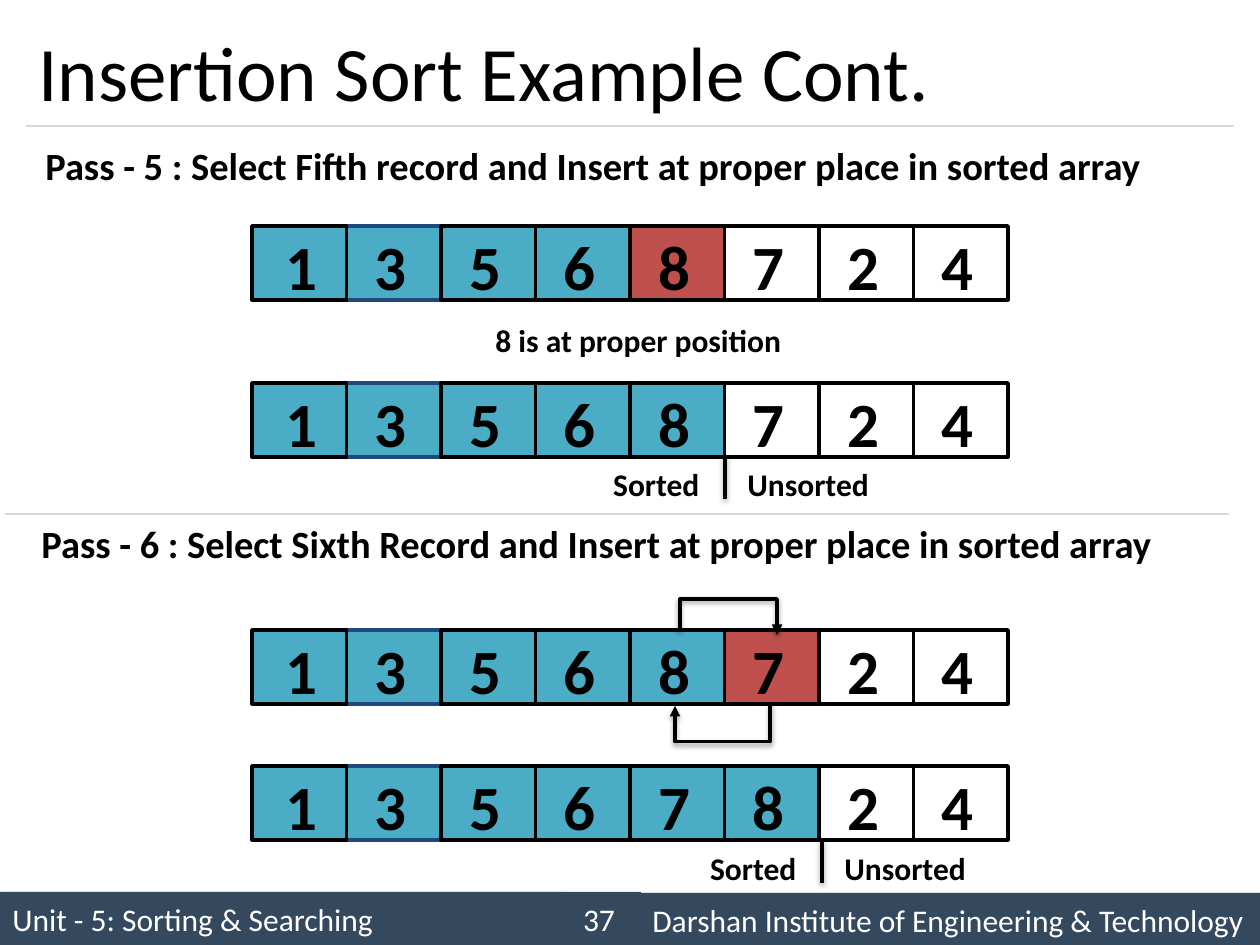
from lxml.etree import SubElement
from pptx import Presentation
from pptx.dml.color import RGBColor
from pptx.enum.shapes import MSO_CONNECTOR, MSO_SHAPE
from pptx.enum.text import MSO_ANCHOR, MSO_AUTO_SIZE, PP_ALIGN
from pptx.oxml.ns import qn
from pptx.util import Pt

# Content
TITLE = "Insertion Sort Example Cont."
HEADINGS = [  # left, top, width, text
    (33, 136, 1144, "Pass - 5 : Select Fifth record and Insert at proper place in sorted array"),
    (29, 514, 1157, "Pass - 6 : Select Sixth Record and Insert at proper place in sorted array"),
]
NOTE = (483, 315, 314, "8 is at proper position")
ARRAYS = [  # top, values, number of sorted cells, index of the selected cell
    (226, "13568724", 4, 4),
    (383, "13568724", 5, None),
    (630, "13568724", 5, 5),
    (766, "13567824", 6, None),
]
BOUNDARIES = [(725, 456), (822, 840)]  # line between sorted and unsorted: x, top
SWAPS = [  # start, end, y of the crossbar
    ((680, 630), (777, 635), 599),
    ((770, 703), (675, 706), 742),
]
RULES = [(26, 1234, 126), (5, 1229, 514)]  # left, right, y
FOOTER = [  # left, top, width, text, alignment, has shadow
    (0, 892, 557, "Unit - 5: Sorting & Searching", PP_ALIGN.LEFT, True),
    (640, 893, 620, "Darshan Institute of Engineering & Technology", PP_ALIGN.LEFT, True),
    (557, 892, 84, "37", PP_ALIGN.CENTER, False),
]

THEME = {
    "font": "Calibri",
    "title": 44, "digit": 36, "heading": 22, "label": 18,
    "ink": "000000", "paper": "FFFFFF", "rule": "D9D9D9", "bar": "34495E",
    "sorted": "4BACC6", "selected": "C0504D", "edge": "1F497D",
    "line": 2, "hairline": 0.75,
}
BAR_SHADOW = (40, 4, 3, 45)  # opacity %, blur pt, distance pt, angle
LINE_SHADOW = (38, 3.1, 1.6, 90)
ROW_LEFT, ROW_WIDTH, CELL_HEIGHT = 252, 756, 74


def px(length):
    return round(length * 914400 / 126)


def color(name):
    return RGBColor.from_string(THEME[name])


def set_effects(shape, shadow=None):
    effects = SubElement(shape.element.spPr, qn("a:effectLst"))
    if shadow:
        opacity, blur, distance, angle = shadow
        outer = SubElement(effects, qn("a:outerShdw"), blurRad=str(Pt(blur)),
                           dist=str(Pt(distance)), dir=str(angle * 60000),
                           algn="tl", rotWithShape="0")
        black = SubElement(outer, qn("a:srgbClr"), val=THEME["ink"])
        SubElement(black, qn("a:alpha"), val=str(opacity * 1000))


def write(shape, text, size, ink="ink", bold=False, align=PP_ALIGN.LEFT):
    para = shape.text_frame.paragraphs[0]
    para.text = text
    para.alignment = align
    font = para.font
    font.name, font.size, font.bold = THEME["font"], Pt(THEME[size]), bold
    font.color.rgb = color(ink)


def add_text(left, top, width, height, text, size, align=PP_ALIGN.LEFT):
    box = page.shapes.add_textbox(px(left), px(top), px(width), px(height))
    box.text_frame.word_wrap = False
    box.text_frame.auto_size = MSO_AUTO_SIZE.SHAPE_TO_FIT_TEXT
    write(box, text, size, bold=True, align=align)


def add_rect(left, top, width, height, fill, edge=None, shadow=None):
    rect = page.shapes.add_shape(MSO_SHAPE.RECTANGLE, px(left), px(top), px(width), px(height))
    rect.fill.solid()
    rect.fill.fore_color.rgb = color(fill)
    if edge:
        rect.line.color.rgb = color(edge)
        rect.line.width = Pt(THEME["line"])
    else:
        rect.line.fill.background()
    set_effects(rect, shadow)
    return rect


def add_line(start, end, ink, width, shadow=None, kind=MSO_CONNECTOR.STRAIGHT):
    line = page.shapes.add_connector(kind, *map(px, start + end))
    line.line.color.rgb = color(ink)
    line.line.width = Pt(THEME[width])
    set_effects(line, shadow)
    return line


def add_swap(start, end, bar_y):
    """Elbow arrow turned a quarter, so that it leaves and arrives vertically."""
    (x1, y1), (x2, y2) = start, end
    rightward = x2 > x1
    center_x, center_y = (x1 + x2) / 2, (y1 + y2) / 2
    half_width, half_height = (y2 - y1) / 2, abs(x2 - x1) / 2
    side = 1 if rightward else -1
    arrow = add_line((center_x + side * half_width, center_y - half_height),
                     (center_x - side * half_width, center_y + half_height),
                     "ink", "line", LINE_SHADOW, MSO_CONNECTOR.ELBOW)
    properties = arrow.element.spPr
    properties.find(qn("a:xfrm")).set("rot", str((270 if rightward else 90) * 60000))
    guides = properties.find(qn("a:prstGeom")).get_or_add_avLst()
    bend = round((bar_y - y1) / (y2 - y1) * 100000)
    SubElement(guides, qn("a:gd"), name="adj1", fmla=f"val {bend}")
    SubElement(properties.find(qn("a:ln")), qn("a:tailEnd"), type="triangle")


def add_array(top, values, sorted_count, selected):
    pitch = ROW_WIDTH / len(values)
    lefts = [ROW_LEFT + index * pitch for index in range(len(values))]
    # The second cell lies below its neighbours
    for index in sorted(range(len(values)), key=lambda i: i != 1):
        fill = ("selected" if index == selected
                else "sorted" if index < sorted_count else "paper")
        add_rect(lefts[index], top, pitch, CELL_HEIGHT, fill, "edge" if index == 1 else "ink")
    for index, digit in enumerate(values):
        inset = 21 if index == 0 else 16
        add_text(lefts[index] + inset, top - 5, 58, 89, digit, "digit")


deck = Presentation()
deck.slide_width, deck.slide_height = px(1260), px(945)
page = deck.slides.add_slide(deck.slide_layouts[5])

# Footer bar and rules
for left, top, width, text, align, has_shadow in FOOTER:
    bar = add_rect(left, top, width, 53, "bar", shadow=BAR_SHADOW if has_shadow else None)
    bar.text_frame.vertical_anchor = MSO_ANCHOR.MIDDLE
    write(bar, text, "label", "paper", align=align)
for left, right, y in RULES:
    add_line((left, y), (right, y), "rule", "hairline")

# Title
title = page.shapes.title
title.left, title.top, title.width, title.height = map(px, (26, 15, 1207, 111))
title.text_frame.vertical_anchor = MSO_ANCHOR.MIDDLE
title.text_frame.auto_size = MSO_AUTO_SIZE.NONE
write(title, TITLE, "title")

# Headings and note
for left, top, width, text in HEADINGS:
    add_text(left, top, width, 59, text, "heading")
left, top, width, text = NOTE
add_text(left, top, width, 50, text, "label")

# Arrays, swap arrows and sorted/unsorted boundaries
for array in ARRAYS:
    add_array(*array)
for swap in SWAPS:
    add_swap(*swap)
for x, top in BOUNDARIES:
    add_line((x, top), (x, top + 43), "ink", "line", LINE_SHADOW)
    add_text(x - 126, top + 3, 120, 50, "Sorted ", "label", PP_ALIGN.RIGHT)
    add_text(x + 10, top + 3, 155, 50, "Unsorted", "label")

deck.save("out.pptx")
